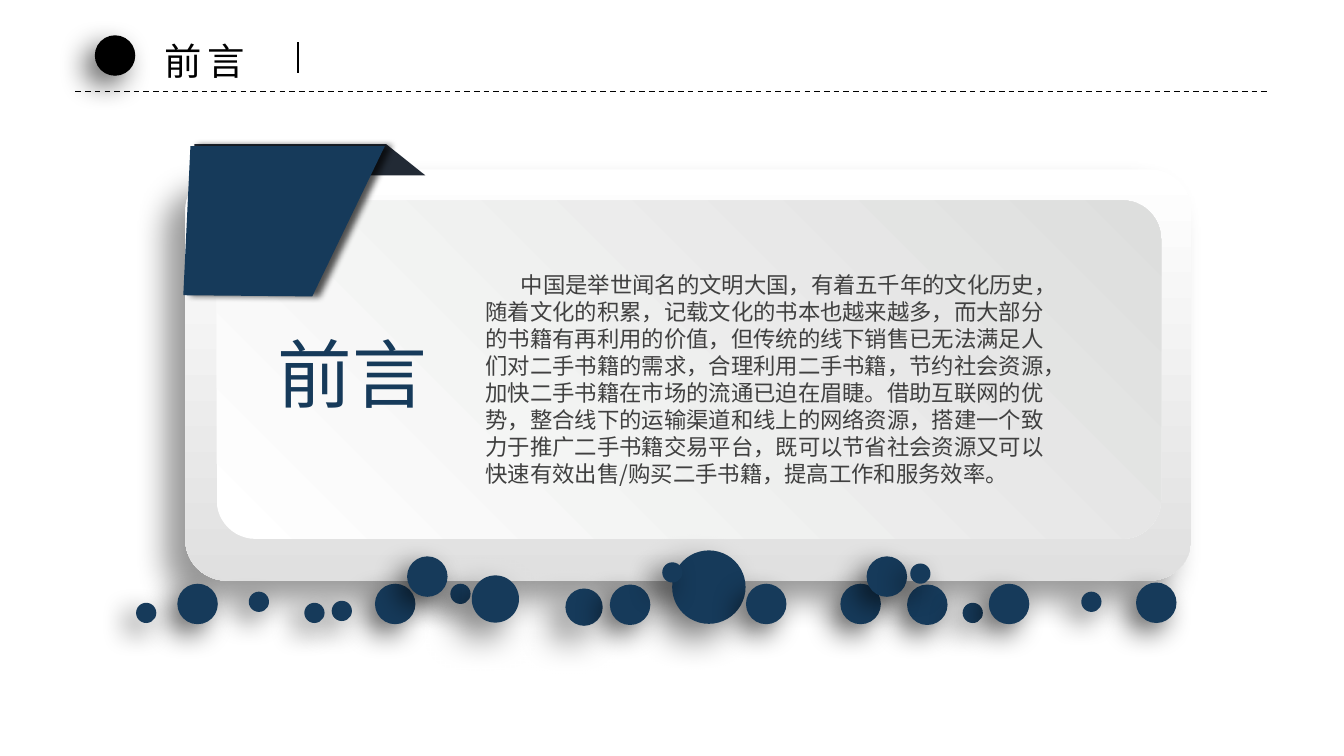
"""Build the preface slide: header, folded-corner panel and a row of dots."""
from lxml import etree
from pptx import Presentation
from pptx import util as u
from pptx.dml.color import RGBColor
from pptx.enum import dml, shapes, text
from pptx.oxml import ns

THEME = {
    "font": "Noto Sans CJK SC",
    "navy": "163A5A", "fold": "222A35", "black": "000000", "body": "404040",
    "white": "FFFFFF", "panel": "E0E0E0", "card": "DDDEDD",
    "header_size": 26.7, "title_size": 53.3, "body_size": 16,
}
SHADOWS = {
    "panel": (40, 22, 20, 135),
    "ribbon": (67, 5, 5, 0),
    "large": (50, 25, 15, 135),
    "small": (60, 20, 10, 135),
}
SLIDE_SIZE = (33.87, 19.05)
PANELS = [
    ((4.67, 4.27, 25.35, 10.36), 0.1, "panel", 270, "panel"),
    ((5.46, 5.05, 23.8, 8.53), 0.115, "card", 45, None),
]
RIBBON = [
    ([(4.9, 3.63), (9.73, 3.63), (10.72, 4.42), (4.9, 4.42)], "fold", None),
    ([(4.8, 3.68), (9.7, 3.68), (7.87, 7.47), (4.62, 7.44)], "navy", "ribbon"),
]
DIAMETERS = {"XL": 1.85, "L": 1.19, "M": 0.94, "S": 1.02, "XS": 0.51}
DOTS = [
    ("XL", 16.94, 13.87), ("S", 21.18, 14.71), ("S", 9.45, 14.71), ("XS", 8.36, 15.14),
    ("S", 22.86, 14.73), ("XS", 11.35, 14.71), ("XS", 24.26, 15.19), ("M", 14.25, 14.83),
    ("S", 24.92, 14.71), ("S", 15.37, 14.73), ("XS", 27.25, 14.91), ("S", 21.84, 14.02),
    ("XS", 7.67, 15.19), ("XS", 16.69, 14.17), ("L", 11.89, 14.5), ("S", 18.8, 14.71),
    ("S", 4.47, 14.71), ("XS", 3.43, 15.19), ("S", 10.26, 14.02), ("XS", 6.27, 14.91),
    ("XS", 22.94, 14.2), ("S", 28.63, 14.68),
]
HEADER_DOT = ("S", 2.39, 0.89)
RULES = [
    ((1.9, 2.31, 31.95, 2.31), 1, dml.MSO_LINE.DASH),
    ((7.52, 1.07, 7.52, 1.85), 1.5, dml.MSO_LINE.SOLID),
]
BODY = (
    "中国是举世闻名的文明大国，有着五千年的文化历史，随着文化的积累，记载文化的书本也越来越多，"
    "而大部分的书籍有再利用的价值，但传统的线下销售已无法满足人们对二手书籍的需求，合理利用二手书籍，"
    "节约社会资源，加快二手书籍在市场的流通已迫在眉睫。借助互联网的优势，整合线下的运输渠道和线上的网络资源，"
    "搭建一个致力于推广二手书籍交易平台，既可以节省社会资源又可以快速有效出售/购买二手书籍，提高工作和服务效率。"
)
TEXTS = [
    {"words": "前言", "box": (5.77, 8.43, 6.22, 2.08), "size": "title_size", "color": "navy",
     "wrap": True, "format": {"alignment": text.PP_ALIGN.CENTER, "line_spacing": u.Pt(56)}},
    {"words": "前言", "box": (3.89, 0.76, 2.69, 1.4), "size": "header_size", "color": "black",
     "wrap": False, "format": {"line_spacing": u.Pt(34)}, "tracking": 400},
    {"words": BODY, "box": (11.99, 6.72, 14.99, 5.72), "size": "body_size", "color": "body",
     "wrap": True, "format": {"line_spacing": u.Pt(19.2)}, "indent": 0.89},
]


def color(name):
    return RGBColor.from_string(THEME[name])


def lengths(values):
    return [u.Cm(value) for value in values]


def apply(target, values):
    for name, value in values.items():
        setattr(target, name, value)


def finish(shape, shadow=None):
    shape.line.fill.background()
    shape.shadow.inherit = False
    if shadow:
        opacity, blur, distance, angle = SHADOWS[shadow]
        effects = shape._element.spPr.find(ns.qn("a:effectLst"))
        outer = etree.SubElement(
            effects, ns.qn("a:outerShdw"), blurRad=str(u.Pt(blur)), dist=str(u.Pt(distance)),
            dir=str(angle * 60000), algn="ctr", rotWithShape="0")
        tint = etree.SubElement(outer, ns.qn("a:srgbClr"), val=THEME["black"])
        etree.SubElement(tint, ns.qn("a:alpha"), val=str(opacity * 1000))


def add_panel(slide, box, corner, shade, angle, shadow):
    panel = slide.shapes.add_shape(shapes.MSO_SHAPE.ROUNDED_RECTANGLE, *lengths(box))
    panel.adjustments[0] = corner
    panel.fill.gradient()
    panel.fill.gradient_angle = angle
    for stop, name in zip(panel.fill.gradient_stops, ("white", shade)):
        stop.color.rgb = color(name)
    finish(panel, shadow)


def add_ribbon(slide, points, fill, shadow):
    start, *others = [tuple(lengths(point)) for point in points]
    builder = slide.shapes.build_freeform(*start)
    builder.add_line_segments(others, close=True)
    ribbon = builder.convert_to_shape()
    ribbon.fill.solid()
    ribbon.fill.fore_color.rgb = color(fill)
    finish(ribbon, shadow)


def add_dot(slide, kind, left, top, fill="navy"):
    diameter = DIAMETERS[kind]
    dot = slide.shapes.add_shape(
        shapes.MSO_SHAPE.OVAL, *lengths((left, top, diameter, diameter)))
    dot.fill.solid()
    dot.fill.fore_color.rgb = color(fill)
    finish(dot, "large" if kind in ("XL", "L", "M") else "small")


def add_rule(slide, ends, width, dash):
    rule = slide.shapes.add_connector(shapes.MSO_CONNECTOR.STRAIGHT, *lengths(ends))
    rule.line.color.rgb = color("black")
    apply(rule.line, {"width": u.Pt(width), "dash_style": dash})
    etree.SubElement(rule._element.spPr, ns.qn("a:effectLst"))


def add_text(slide, item):
    frame = slide.shapes.add_textbox(*lengths(item["box"])).text_frame
    frame.word_wrap = item["wrap"]
    paragraph = frame.paragraphs[0]
    apply(paragraph, item["format"])
    if "indent" in item:
        paragraph._p.get_or_add_pPr().set("indent", str(u.Cm(item["indent"])))
    run = paragraph.add_run()
    run.text = item["words"]
    apply(run.font, {"size": u.Pt(THEME[item["size"]]), "name": THEME["font"]})
    run.font.color.rgb = color(item["color"])
    properties = run._r.get_or_add_rPr()
    etree.SubElement(properties, ns.qn("a:ea"), typeface=THEME["font"])
    properties.set("lang", "zh-CN")
    if "tracking" in item:
        properties.set("spc", str(item["tracking"]))


def main():
    presentation = Presentation()
    width, height = lengths(SLIDE_SIZE)
    apply(presentation, {"slide_width": width, "slide_height": height})
    slide = presentation.slides.add_slide(presentation.slide_layouts[6])
    for panel in PANELS:
        add_panel(slide, *panel)
    for ribbon in RIBBON:
        add_ribbon(slide, *ribbon)
    for dot in DOTS:
        add_dot(slide, *dot)
    add_dot(slide, *HEADER_DOT, fill="black")
    for rule in RULES:
        add_rule(slide, *rule)
    for item in TEXTS:
        add_text(slide, item)
    presentation.save("out.pptx")


if __name__ == "__main__":
    main()
